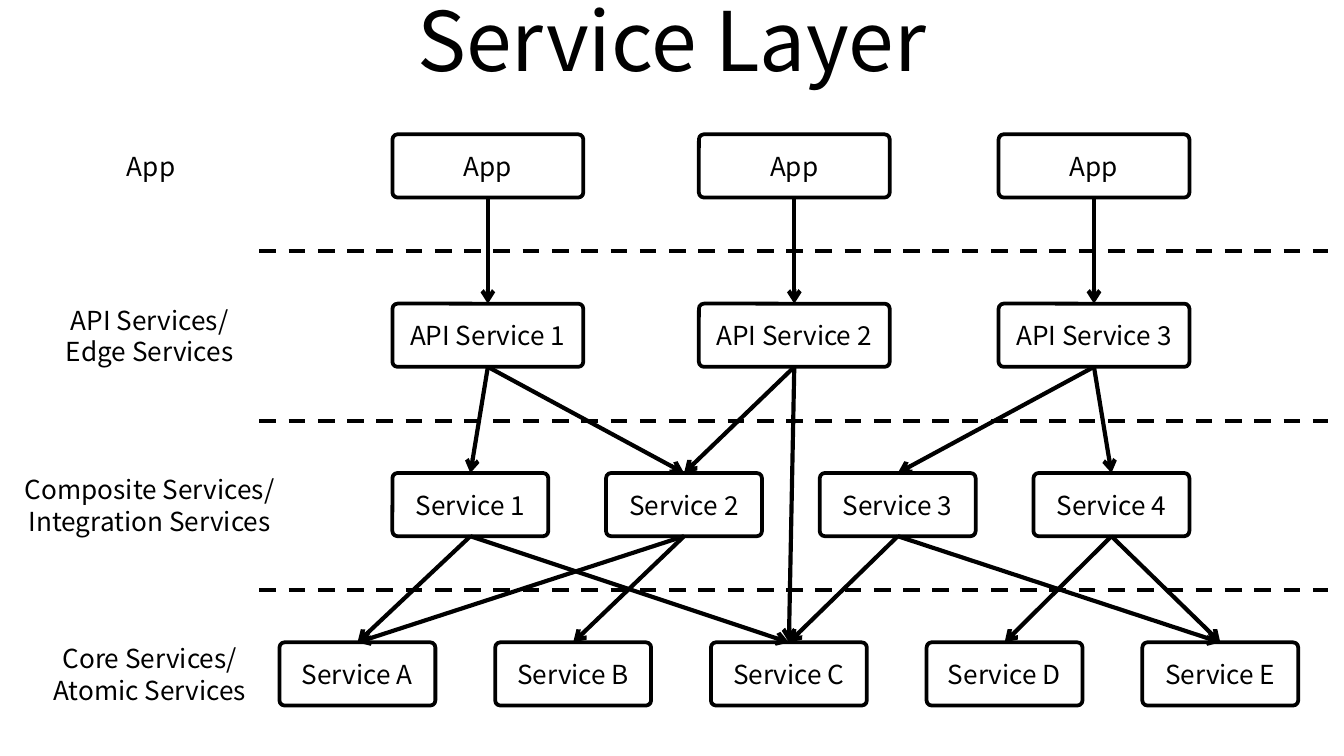
from dataclasses import dataclass

from pptx import Presentation
from pptx.dml.color import RGBColor
from pptx.enum.dml import MSO_LINE
from pptx.enum.shapes import MSO_CONNECTOR, MSO_SHAPE
from pptx.enum.text import MSO_ANCHOR, MSO_AUTO_SIZE, PP_ALIGN
from pptx.oxml.ns import qn
from pptx.util import Inches, Pt
from lxml.etree import SubElement

FONT = "Noto Sans CJK KR"
BLACK, WHITE = "000000", "FFFFFF"
ROW_TOP, ROW_PITCH, BOX_HEIGHT = 1.0, 1.26, 0.47
TOP_SITE, BOTTOM_SITE = 0, 2


@dataclass
class Layer:
    caption: list[str]
    caption_top: float
    caption_left: float
    caption_width: float
    names: list[str]
    lefts: list[float]
    box_width: float


def spread(first: float, last: float, count: int) -> list[float]:
    return [first + i * (last - first) / (count - 1) for i in range(count)]


WIDE_LEFTS = [2.92, 5.2, 7.43]
LAYERS = [
    Layer(["App"], 1.07, 0.53, 1.19, ["App"] * 3, WIDE_LEFTS, 1.42),
    Layer(["API Services/", "Edge Services"], 2.21, 0.35, 1.53,
          [f"API Service {n}" for n in range(1, 4)], WIDE_LEFTS, 1.42),
    Layer(["Composite Services/", "Integration Services"], 3.47, 0.08, 2.07,
          [f"Service {n}" for n in range(1, 5)], spread(2.92, 7.69, 4), 1.16),
    Layer(["Core Services/", "Atomic Services"], 4.73, 0.15, 1.93,
          [f"Service {letter}" for letter in "ABCDE"], spread(2.08, 8.5, 5), 1.16),
]

# Calls as (layer, column) pairs: caller, then callees
CALLS = {
    (0, 0): [(1, 0)],
    (0, 1): [(1, 1)],
    (0, 2): [(1, 2)],
    (1, 0): [(2, 0), (2, 1)],
    (1, 1): [(2, 1), (3, 2)],
    (1, 2): [(2, 2), (2, 3)],
    (2, 0): [(3, 0), (3, 2)],
    (2, 1): [(3, 0), (3, 1)],
    (2, 2): [(3, 2), (3, 4)],
    (2, 3): [(3, 3), (3, 4)],
}


def color(value: str) -> RGBColor:
    return RGBColor.from_string(value)


def write(text_frame, lines: list[str], size: float, spacing: float | None = None) -> None:
    text_frame.word_wrap = True
    text_frame.auto_size = MSO_AUTO_SIZE.NONE
    for i, line in enumerate(lines):
        paragraph = text_frame.paragraphs[0] if i == 0 else text_frame.add_paragraph()
        paragraph.text = line
        paragraph.alignment = PP_ALIGN.CENTER
        if spacing:
            paragraph.line_spacing = Pt(spacing)
        paragraph.font.name = FONT
        paragraph.font.size = Pt(size)
        paragraph.font.color.rgb = color(BLACK)


def add_box(slide, name: str, left: float, top: float, width: float):
    shape = slide.shapes.add_shape(MSO_SHAPE.ROUNDED_RECTANGLE, Inches(left), Inches(top),
                                   Inches(width), Inches(BOX_HEIGHT))
    shape.adjustments[0] = 0.08
    shape.shadow.inherit = False
    shape.fill.solid()
    shape.fill.fore_color.rgb = color(WHITE)
    shape.line.color.rgb = color(BLACK)
    shape.line.width = Pt(2)
    text_frame = shape.text_frame
    text_frame.margin_left = text_frame.margin_right = Inches(0.05)
    text_frame.vertical_anchor = MSO_ANCHOR.MIDDLE
    write(text_frame, [name], 14, 17)
    return shape


def add_caption(slide, layer: Layer) -> None:
    height = 0.1 + 0.24 * len(layer.caption)
    box = slide.shapes.add_textbox(Inches(layer.caption_left), Inches(layer.caption_top),
                                   Inches(layer.caption_width), Inches(height))
    write(box.text_frame, layer.caption, 14, 17)


def add_line(slide, start: tuple[float, float], end: tuple[float, float]):
    line = slide.shapes.add_connector(MSO_CONNECTOR.STRAIGHT,
                                      *(Inches(value) for value in (*start, *end)))
    line.line.color.rgb = color(BLACK)
    line.line.width = Pt(2.25)
    SubElement(line._element.spPr, qn("a:effectLst"))
    return line


def add_arrow(slide, caller, callee) -> None:
    arrow = add_line(slide, (0, 0), (1, 1))
    arrow.begin_connect(caller, BOTTOM_SITE)
    arrow.end_connect(callee, TOP_SITE)
    SubElement(arrow.line._get_or_add_ln(), qn("a:tailEnd"), type="arrow")


def main() -> None:
    # 16:9 slide
    presentation = Presentation()
    presentation.slide_width = Inches(10)
    presentation.slide_height = Inches(10) * 9 // 16
    slide = presentation.slides.add_slide(presentation.slide_layouts[5])

    # Title
    title = slide.shapes.title
    title.left, title.top = Inches(0.5), Inches(-0.18)
    title.width, title.height = Inches(9), Inches(0.94)
    title.text_frame.vertical_anchor = MSO_ANCHOR.MIDDLE
    write(title.text_frame, ["Service Layer"], 44)

    # Dashed borders between layers
    for i in range(len(LAYERS) - 1):
        y = 1.87 + i * ROW_PITCH
        add_line(slide, (1.93, y), (9.88, y)).line.dash_style = MSO_LINE.DASH

    # Captions and service boxes
    boxes = {}
    for row, layer in enumerate(LAYERS):
        add_caption(slide, layer)
        for column, (name, left) in enumerate(zip(layer.names, layer.lefts)):
            boxes[row, column] = add_box(slide, name, left, ROW_TOP + row * ROW_PITCH,
                                         layer.box_width)

    # Call arrows
    for caller, callees in CALLS.items():
        for callee in callees:
            add_arrow(slide, boxes[caller], boxes[callee])

    presentation.save("out.pptx")


if __name__ == "__main__":
    main()
